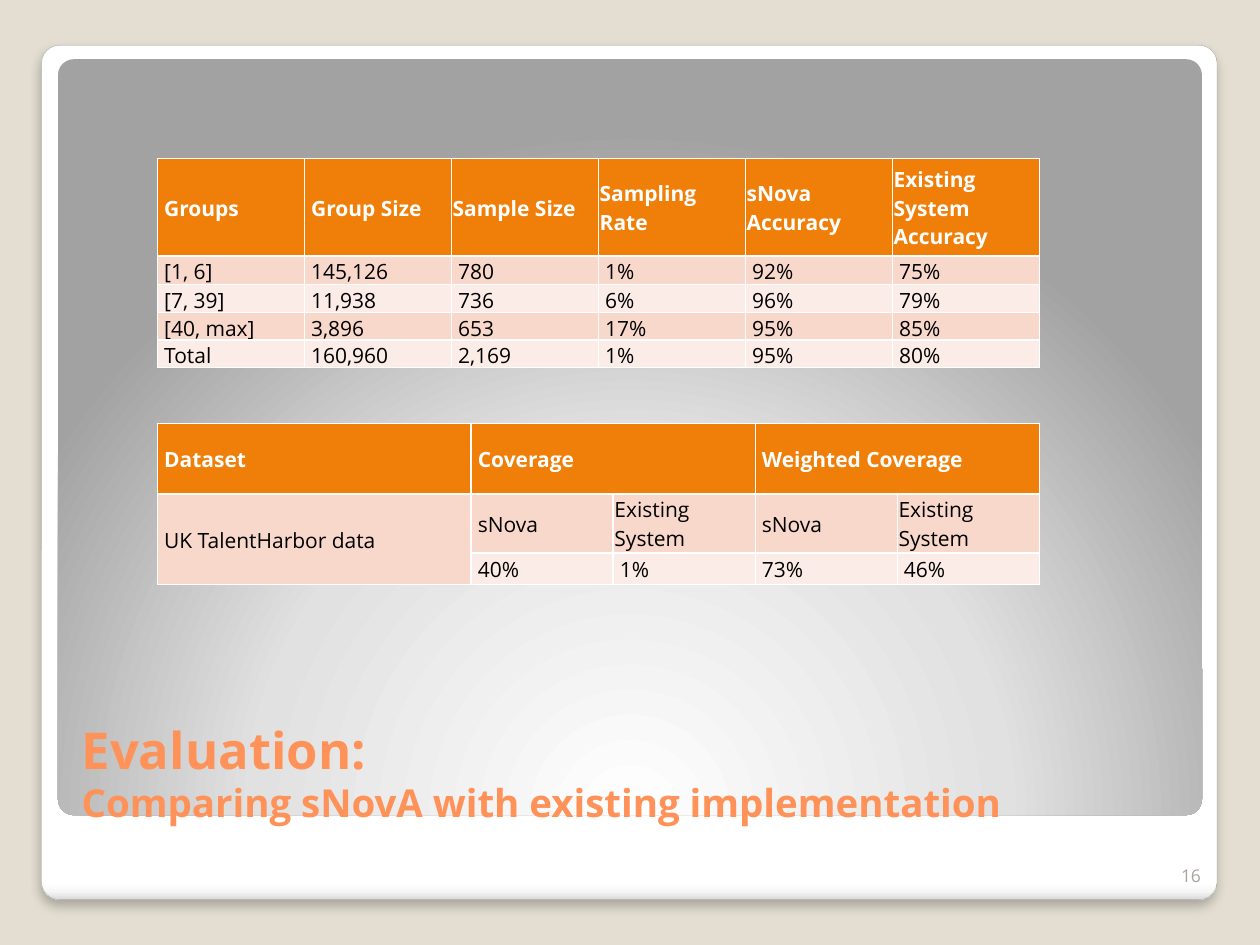
from dataclasses import dataclass

from lxml.etree import SubElement
from pptx import Presentation
from pptx.dml.color import RGBColor
from pptx.enum.shapes import MSO_SHAPE
from pptx.enum.text import MSO_ANCHOR, PP_ALIGN
from pptx.oxml import parse_xml
from pptx.oxml.ns import nsdecls, qn
from pptx.util import Inches, Pt

FONT = "Open Sans"
WHITE = RGBColor(0xFF, 0xFF, 0xFF)
BLACK = RGBColor(0x00, 0x00, 0x00)
SAND = RGBColor(0xE3, 0xDE, 0xD1)
FRAME_LINE = RGBColor(0xA4, 0xA4, 0xA4)
TITLE_ORANGE = RGBColor(0xFF, 0x92, 0x58)
HEADER_ORANGE = RGBColor(0xF0, 0x7F, 0x09)
BANDS = (RGBColor(0xF9, 0xD8, 0xCC), RGBColor(0xFC, 0xEC, 0xE7))
NUMBER_GREY = RGBColor(0xA8, 0xA4, 0x9B)

LINEAR_DOWN = '<a:lin ang="5400000" scaled="0"/>'
GLOW_FROM_BELOW = ('<a:path path="circle"><a:fillToRect l="50000" t="175000" '
                   'r="50000" b="-75000"/></a:path>')


@dataclass
class Panel:
    place: tuple
    stops: tuple
    direction: str


@dataclass
class Grid:
    place: tuple
    columns: list
    row_heights: list
    rows: list
    merges: tuple = ()


@dataclass
class Line:
    text: str
    size: int
    color: RGBColor
    bold: bool = False


PANELS = [
    Panel((0.33, 0.36, 9.33, 6.78),
          ((0, "FFFFFF"), (98, "FFFFFF"), (99, "F7F7F7"), (100, "DADADA")), LINEAR_DOWN),
    Panel((0.46, 0.47, 9.08, 6),
          ((0, "FFFFFF"), (55, "E1E1E1"), (100, "A2A2A2")), GLOW_FROM_BELOW),
]

ACCURACY = Grid(
    (1.25, 1.26, 7, 1.66), [7 / 6] * 6, [0.77, 0.23, 0.22, 0.22, 0.22],
    [
        [" Groups", " Group Size", "Sample Size", "Sampling Rate", "sNova Accuracy",
         "Existing System Accuracy"],
        [" [1, 6]", " 145,126 ", " 780 ", " 1%", " 92%", " 75%"],
        [" [7, 39]", " 11,938 ", " 736 ", " 6%", " 96%", " 79%"],
        [" [40, max]", " 3,896 ", " 653 ", " 17%", " 95%", " 85%"],
        [" Total", " 160,960 ", " 2,169 ", " 1%", " 95%", " 80%"],
    ])
COVERAGE = Grid(
    (1.25, 3.36, 7, 1.28), [2.49] + [4.51 / 4] * 4, [0.56, 0.47, 0.25],
    [
        [" Dataset", " Coverage", "", " Weighted Coverage", ""],
        [" UK TalentHarbor data", " sNova ", "Existing System", " sNova", "Existing System"],
        ["", " 40%", " 1%", " 73%", " 46%"],
    ],
    merges=((0, 1, 0, 2), (0, 3, 0, 4), (1, 0, 2, 0)))


def set_all(target, values: dict) -> None:
    for name, value in values.items():
        setattr(target, name, value)


def add_span(para, line: Line) -> None:
    span = para.add_run()
    span.text = line.text
    set_all(span.font, {"name": FONT, "size": Pt(line.size), "bold": line.bold})
    span.font.color.rgb = line.color


def add_panel(page, panel: Panel):
    shape = page.shapes.add_shape(MSO_SHAPE.ROUNDED_RECTANGLE, *map(Inches, panel.place))
    shape.adjustments[0] = 0.021
    shape.shadow.inherit = False
    shape.line.fill.background()
    stops = "".join(f'<a:gs pos="{position * 1000}"><a:srgbClr val="{color}"/></a:gs>'
                    for position, color in panel.stops)
    gradient = parse_xml(f'<a:gradFill {nsdecls("a")} rotWithShape="1"><a:gsLst>{stops}'
                         f'</a:gsLst>{panel.direction}</a:gradFill>')
    shape._element.spPr.find(qn("a:prstGeom")).addnext(gradient)
    return shape


def add_text(page, place: tuple, lines: list, align: PP_ALIGN) -> None:
    box = page.shapes.add_textbox(*map(Inches, place))
    set_all(box.text_frame, {"word_wrap": True, "vertical_anchor": MSO_ANCHOR.BOTTOM})
    para = box.text_frame.paragraphs[0]
    para.alignment = align
    for index, line in enumerate(lines):
        if index:
            para.add_line_break()
        add_span(para, line)


def set_borders(cell, widths: dict) -> None:
    properties = cell._tc.get_or_add_tcPr()
    for index, (side, width) in enumerate(widths.items()):
        border = parse_xml(f'<a:ln{side} {nsdecls("a")} w="{Pt(width)}"><a:solidFill>'
                           f'<a:srgbClr val="{WHITE}"/></a:solidFill></a:ln{side}>')
        properties.insert(index, border)


def add_grid(page, grid: Grid) -> None:
    table = page.shapes.add_table(len(grid.rows), len(grid.columns),
                                  *map(Inches, grid.place)).table
    for column, width in zip(table.columns, grid.columns):
        column.width = Inches(width)
    for row, height in zip(table.rows, grid.row_heights):
        row.height = Inches(height)
    for r, texts in enumerate(grid.rows):
        header = r == 0
        for c, text in enumerate(texts):
            cell = table.cell(r, c)
            set_all(cell, {"margin_left": Inches(0.01), "margin_top": Inches(0.01),
                           "margin_right": Inches(0.01), "margin_bottom": 0,
                           "vertical_anchor": MSO_ANCHOR.MIDDLE})
            cell.fill.solid()
            cell.fill.fore_color.rgb = HEADER_ORANGE if header else BANDS[(r - 1) % 2]
            set_borders(cell, {"L": 1, "R": 1, "T": 1.5 if r == 1 else 1,
                               "B": 1.5 if header else 1})
            if text:
                add_span(cell.text_frame.paragraphs[0],
                         Line(text, 12, WHITE if header else BLACK, header))
    for top, left, bottom, right in grid.merges:
        table.cell(top, left).merge(table.cell(bottom, right))


deck = Presentation()
set_all(deck, {"slide_width": Inches(10), "slide_height": Inches(7.5)})
page = deck.slides.add_slide(deck.slide_layouts[6])
page.background.fill.solid()
page.background.fill.fore_color.rgb = SAND

# Framed backdrop
frame, backdrop = [add_panel(page, panel) for panel in PANELS]
frame.line.color.rgb = FRAME_LINE
frame.line.width = Pt(0.16)
effects = frame._element.spPr.find(qn("a:effectLst"))
shadow = SubElement(effects, qn("a:outerShdw"), blurRad=str(Pt(6)), dist=str(Pt(4)),
                    dir="5400000", algn="t", rotWithShape="0")
shadow_color = SubElement(shadow, qn("a:srgbClr"), val=str(BLACK))
SubElement(shadow_color, qn("a:alpha"), val="25000")

# Title
add_text(page, (0.55, 5.45, 8.95, 1.15),
         [Line("Evaluation:", 29, TITLE_ORANGE, True),
          Line("Comparing sNovA with existing implementation", 22, TITLE_ORANGE, True)],
         PP_ALIGN.LEFT)

# Result tables
for grid in (ACCURACY, COVERAGE):
    add_grid(page, grid)

# Slide number
add_text(page, (9.13, 6.68, 0.5, 0.4), [Line("16", 10, NUMBER_GREY)], PP_ALIGN.RIGHT)

deck.save("out.pptx")
